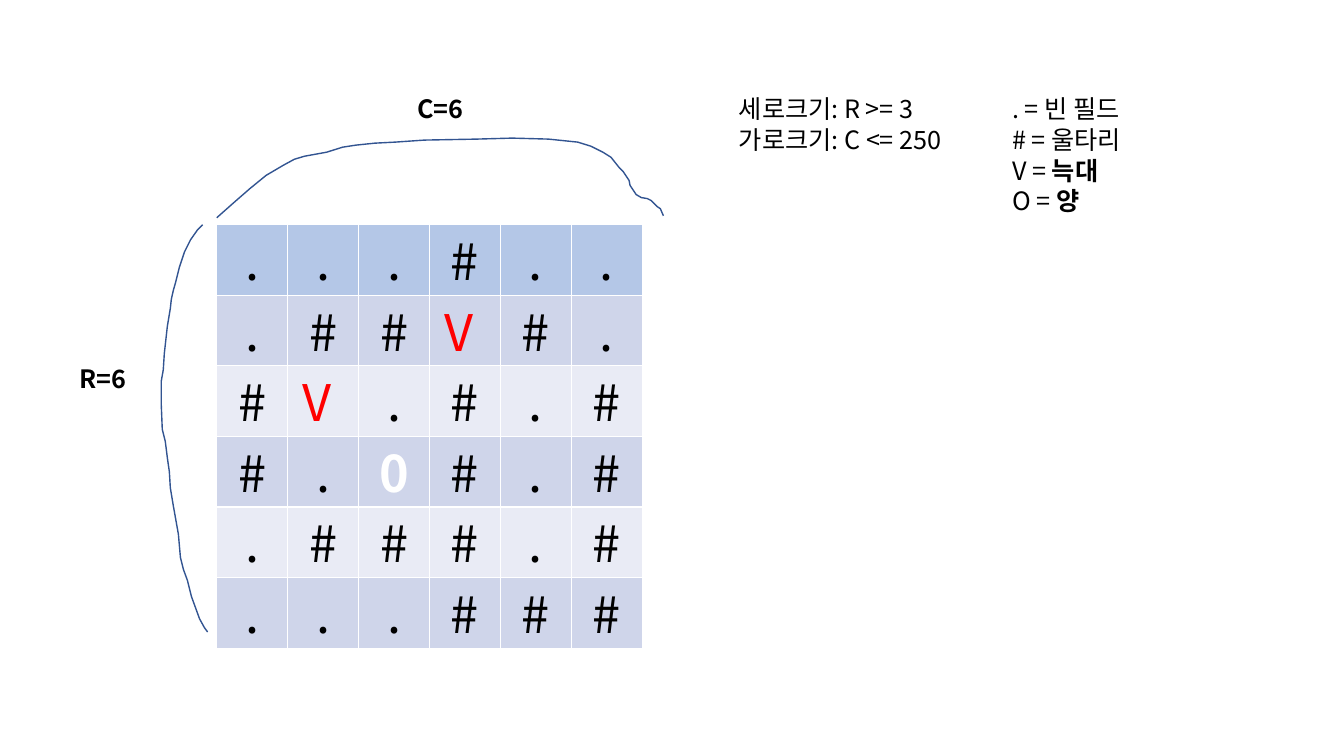
import pptx
import pptx.util
import pptx.dml.color
import pptx.enum.text
import lxml.etree

COLS, ROWS = 1333, 750  # the slide as a fine grid of square units
FONT = "Noto Sans CJK KR"
COLORS = {
    "text": "000000", "wolf": "FF0000", "sheep": "FFFFFF", "curve": "325491",
    "head": "B4C7E7", "odd": "CFD5EA", "even": "E9EBF5",
}

prs = pptx.Presentation()
prs.slide_width = pptx.util.Inches(13.33)
prs.slide_height = pptx.util.Inches(7.5)
s = prs.slides.add_slide(prs.slide_layouts[6])
U = prs.slide_width // COLS


def rgb(name):
    """Return the named colour."""
    return pptx.dml.color.RGBColor.from_string(COLORS[name])


def add_run(p, text, size, color="text", bold=False):
    """Add a formatted run to a paragraph with a fixed line height."""
    p.line_spacing = pptx.util.Pt(round(size * 1.2))
    r = p.add_run()
    r.text = text
    for key, value in {"name": FONT, "size": pptx.util.Pt(size), "bold": bold}.items():
        setattr(r.font, key, value)
    r.font.color.rgb = rgb(color)
    # Korean glyphs take the East Asian font
    ea = lxml.etree.SubElement(r.font._element, pptx.oxml.ns.qn("a:ea"))
    ea.set("typeface", FONT)


# Labels: left, top, width, height, then lines of (text, bold) runs
labels = [
    (723, 87, 262, 71, [[("세로크기: R >= 3", False)], [("가로크기: C <= 250", False)]]),
    (69, 355, 73, 40, [[("R=6", True)]]),
    (404, 87, 103, 40, [[("C=6", True)]]),
    (994, 87, 167, 162, [
        [(". = 빈 필드", False)],
        [("# = 울타리", False)],
        [("V = ", False), ("늑대", True)],
        [("O = ", False), ("양", True)],
    ]),
]
for x, y, w, h, lines in labels:
    tf = s.shapes.add_textbox(x * U, y * U, w * U, h * U).text_frame
    tf.word_wrap = True
    for i, line in enumerate(lines):
        p = tf.add_paragraph() if i else tf.paragraphs[0]
        for text, bold in line:
            add_run(p, text, 18, bold=bold)

# Hand-drawn braces along the rows and the columns of the field
row_brace = [
    (201, 223), (196, 228), (189, 238), (183, 250), (178, 265), (174, 281),
    (172, 288), (170, 297), (169, 306), (166, 324), (163, 351), (162, 367),
    (160, 378), (160, 402), (161, 426), (164, 438), (166, 454), (168, 468),
    (169, 484), (172, 502), (177, 530), (179, 553), (182, 565), (186, 576),
    (190, 592), (198, 614), (203, 623), (206, 627),
]
column_brace = [
    (215, 216), (232, 201), (248, 187), (264, 174), (281, 164), (292, 158),
    (302, 155), (324, 151), (340, 146), (353, 144), (372, 142), (392, 141),
    (421, 139), (473, 138), (508, 137), (544, 138), (573, 141), (586, 145),
    (598, 151), (606, 156), (614, 166), (618, 170), (624, 179), (625, 184),
    (629, 190), (631, 193), (636, 196), (642, 197), (646, 199), (652, 205),
    (655, 207), (658, 214),
]
for points in (row_brace, column_brace):
    fb = s.shapes.build_freeform(*points[0], scale=U)
    fb.add_line_segments(points[1:], close=False)
    sp = fb.convert_to_shape()
    sp.shadow.inherit = False
    sp.fill.background()
    sp.line.color.rgb = rgb("curve")
    sp.line.width = pptx.util.Pt(1)

# Field: wolves are V, the sheep is 0
field = ["...#..", ".##V#.", "#V.#.#", "#.0#.#", ".###.#", "...###"]
marks = {"V": ("wolf", False), "0": ("sheep", True)}
n = len(field)
tbl = s.shapes.add_table(n, n, 215 * U, 223 * U, 422 * U, 420 * U).table
for y, line in enumerate(field):
    for x, mark in enumerate(line):
        cell = tbl.cell(y, x)
        cell.fill.solid()
        cell.fill.fore_color.rgb = rgb("head" if y == 0 else "odd" if y % 2 else "even")
        for key, value in {"margin_top": 10 * U, "margin_bottom": 0}.items():
            setattr(cell, key, value)
        p = cell.text_frame.paragraphs[0]
        p.alignment = pptx.enum.text.PP_ALIGN.CENTER
        color, bold = marks.get(mark, ("text", False))
        add_run(p, "V " if mark == "V" else mark, 36, color, bold)

prs.save("out.pptx")
